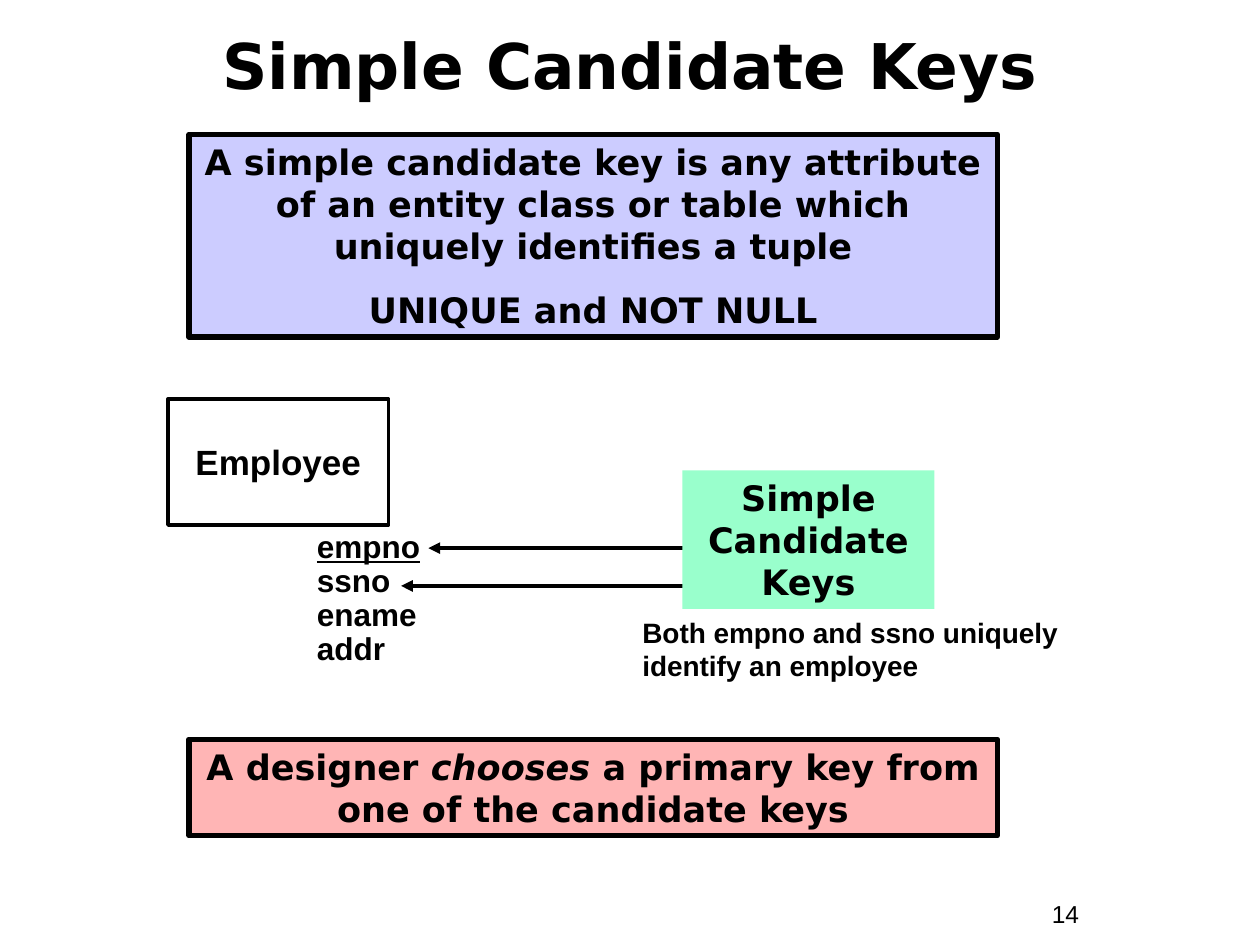
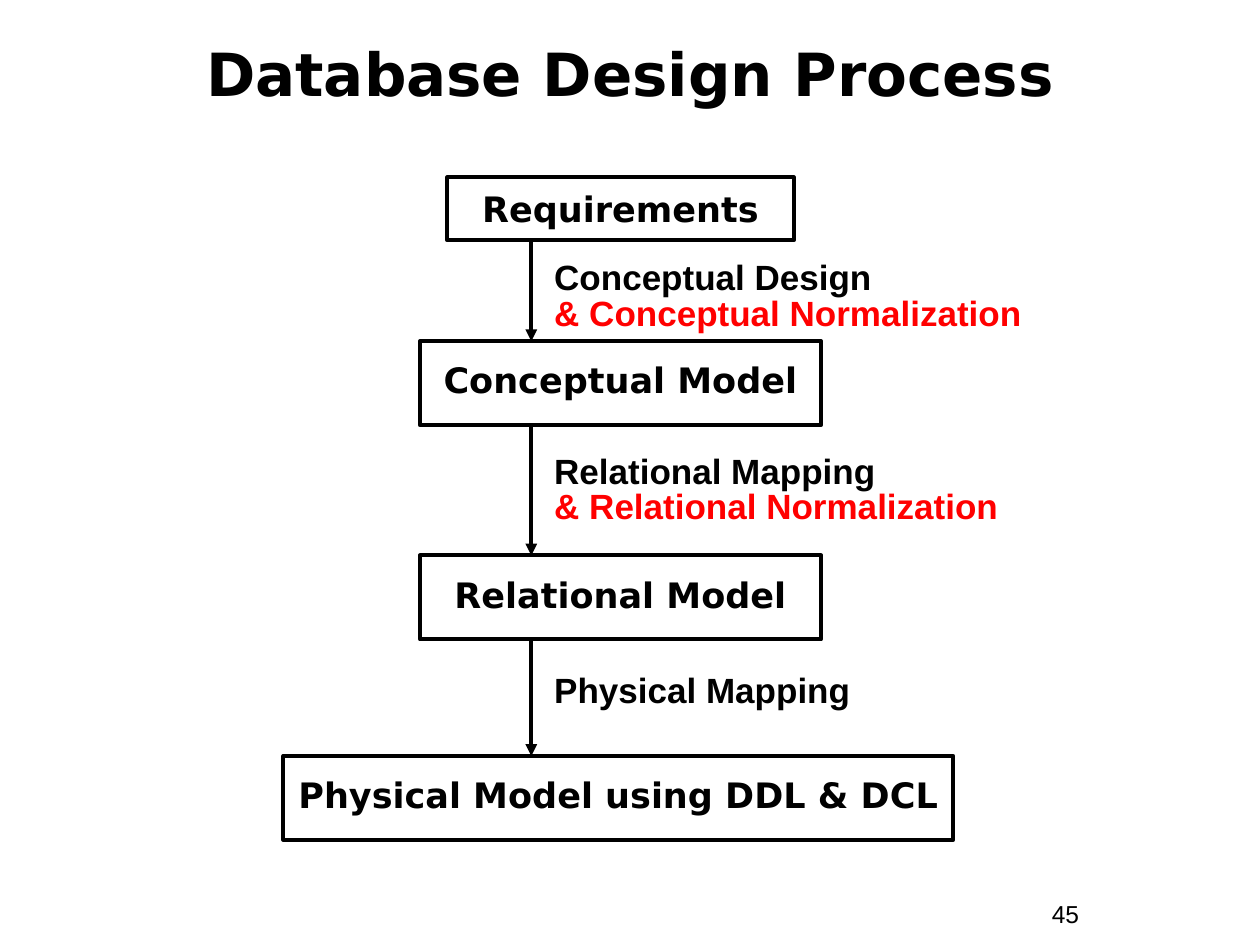
from lxml import etree
from pptx import Presentation
from pptx.dml.color import RGBColor
from pptx.enum.shapes import MSO_CONNECTOR, MSO_SHAPE
from pptx.enum.text import MSO_ANCHOR, PP_ALIGN
from pptx.oxml.ns import qn
from pptx.util import Inches, Pt

LEFT, CENTER = PP_ALIGN.LEFT, PP_ALIGN.CENTER
TOP, MIDDLE = MSO_ANCHOR.TOP, MSO_ANCHOR.MIDDLE
RECTANGLE, STRAIGHT = MSO_SHAPE.RECTANGLE, MSO_CONNECTOR.STRAIGHT

BLACK = RGBColor(0x00, 0x00, 0x00)
RED = RGBColor(0xFF, 0x00, 0x00)
LAVENDER = RGBColor(0xCC, 0xCC, 0xFF)
MINT = RGBColor(0x99, 0xFF, 0xCC)
ROSE = RGBColor(0xFF, 0xB5, 0xB5)

HEADING_FONT, BODY_FONT = "DejaVu Sans", "Arial"
COLUMNS, ROWS = 120, 90
WIDTH, HEIGHT = Inches(10), Inches(7.5)
THIN, THICK = 2.25, 3


def grid(column, row):
    return round(column * WIDTH / COLUMNS), round(row * HEIGHT / ROWS)


def place(area):
    """Turn (column, row, columns, rows) into left, top, width, height."""
    return grid(*area[:2]) + grid(*area[2:])


def add_run(paragraph, text, *, font, size, color, bold, italic=False, underline=False):
    """Add text to the paragraph; a newline becomes a line break."""
    for number, line in enumerate(text.split("\n")):
        if number:
            paragraph.add_line_break()
        if line:
            run = paragraph.add_run()
            run.text = line
            style = run.font
            style.name, style.size, style.color.rgb = font, Pt(size), color
            style.bold, style.italic, style.underline = bold, italic, underline


def write(holder, paragraphs, *, font=BODY_FONT, size=20, color=BLACK, bold=True,
          align=LEFT, anchor=TOP, spacing=1.0, gap=0, wrap=True):
    """Fill a box with paragraphs, each a list of (text, own format) runs."""
    frame = holder.text_frame
    frame.word_wrap, frame.vertical_anchor = wrap, anchor
    base = dict(font=font, size=size, color=color, bold=bold)
    for number, runs in enumerate(paragraphs):
        paragraph = frame.add_paragraph() if number else frame.paragraphs[0]
        paragraph.alignment, paragraph.line_spacing = align, spacing
        if number:
            paragraph.space_before = Pt(gap)
        for text, own in runs:
            add_run(paragraph, text, **{**base, **own})


def plain(*texts):
    return [[(text, {})] for text in texts]


def add_label(slide, area, paragraphs, **style):
    write(slide.shapes.add_textbox(*place(area)), paragraphs, **style)


def add_box(slide, area, paragraphs, fill=None, border=None, **style):
    box = slide.shapes.add_shape(RECTANGLE, *place(area))
    box.shadow.inherit = False
    if fill is None:
        box.fill.background()
    else:
        box.fill.solid()
        box.fill.fore_color.rgb = fill
    if border is None:
        box.line.fill.background()
    else:
        box.line.color.rgb, box.line.width = BLACK, Pt(border)
    write(box, paragraphs, **{"font": HEADING_FONT, "align": CENTER, **style})


def add_arrow(slide, start, end):
    arrow = slide.shapes.add_connector(STRAIGHT, *grid(*start), *grid(*end))
    arrow.line.color.rgb, arrow.line.width = BLACK, Pt(THIN)
    properties = arrow._element.spPr
    etree.SubElement(properties.find(qn("a:ln")), qn("a:tailEnd"), type="triangle")
    etree.SubElement(properties, qn("a:effectLst"))


def add_slide(deck, title, title_area, title_size, page):
    slide = deck.slides.add_slide(deck.slide_layouts[6])
    add_label(slide, (99, 85, 11, 4), plain(page), size=14, bold=False)
    add_label(slide, title_area, plain(title), font=HEADING_FONT, size=title_size,
              align=CENTER, anchor=MIDDLE, spacing=0.85)
    return slide


def build_candidate_keys(deck):
    slide = add_slide(deck, "Simple Candidate Keys", (4, 1.2, 112, 11), 36, "14")
    add_box(slide, (16, 38, 21, 12), plain("Employee"), border=THIN,
            font=BODY_FONT, anchor=MIDDLE, wrap=False)
    attributes = [[("empno", {"underline": True})]] + plain("ssno", "ename", "addr")
    add_label(slide, (29, 50, 20, 14.2), attributes, size=18, spacing=0.9)
    for attribute_end, row in ((40.8, 52.2), (38.2, 55.8)):
        add_arrow(slide, (66, row), (attribute_end, row))
    add_box(slide, (65, 44.8, 24, 13.2), plain("Simple Candidate\nKeys"), fill=MINT)
    definition = plain("A simple candidate key is any attribute of an entity class "
                       "or table which uniquely identifies a tuple",
                       "UNIQUE and NOT NULL")
    add_box(slide, (18, 12.8, 77, 19.3), definition, fill=LAVENDER, border=THICK, gap=12.5)
    choice = [[("A designer ", {}), ("chooses", {"italic": True}),
               (" a primary key from one of the candidate keys", {})]]
    add_box(slide, (18, 70.4, 77, 9.2), choice, fill=ROSE, border=THICK)
    add_label(slide, (60, 58, 42, 7.7),
              plain("Both empno and ssno uniquely identify an employee"), size=16)


def build_design_process(deck):
    slide = add_slide(deck, "Database Design Process", (4, 4, 112, 7), 34, "45")
    stages = [
        ("Requirements", (42.6, 16.9, 33, 6), 1.0),
        ("Conceptual Model", (40, 32.5, 38.2, 8), 0.85),
        ("Relational Model", (40, 52.9, 38.2, 8), 0.85),
        ("Physical Model using DDL & DCL", (27, 72, 63.8, 8), 0.85),
    ]
    for name, area, spacing in stages:
        add_box(slide, area, plain(name), border=THIN, anchor=MIDDLE,
                spacing=spacing, wrap=False)

    flow_column = 50.6
    for (_, upper, _), (_, lower, _) in zip(stages, stages[1:]):
        add_arrow(slide, (flow_column, upper[1] + upper[3]), (flow_column, lower[1]))

    steps = [
        (24.4, "Conceptual Design", "\n& Conceptual Normalization"),
        (42.8, "Relational Mapping", "\n& Relational Normalization"),
        (63.7, "Physical Mapping", ""),
    ]
    for row, step, normalization in steps:
        add_label(slide, (51.6, row, 51.5, 8 if normalization else 4.7),
                  [[(step, {}), (normalization, {"color": RED})]], spacing=0.85)


def main():
    deck = Presentation()
    deck.slide_width, deck.slide_height = WIDTH, HEIGHT
    build_candidate_keys(deck)
    build_design_process(deck)
    deck.save("out.pptx")


if __name__ == "__main__":
    main()
